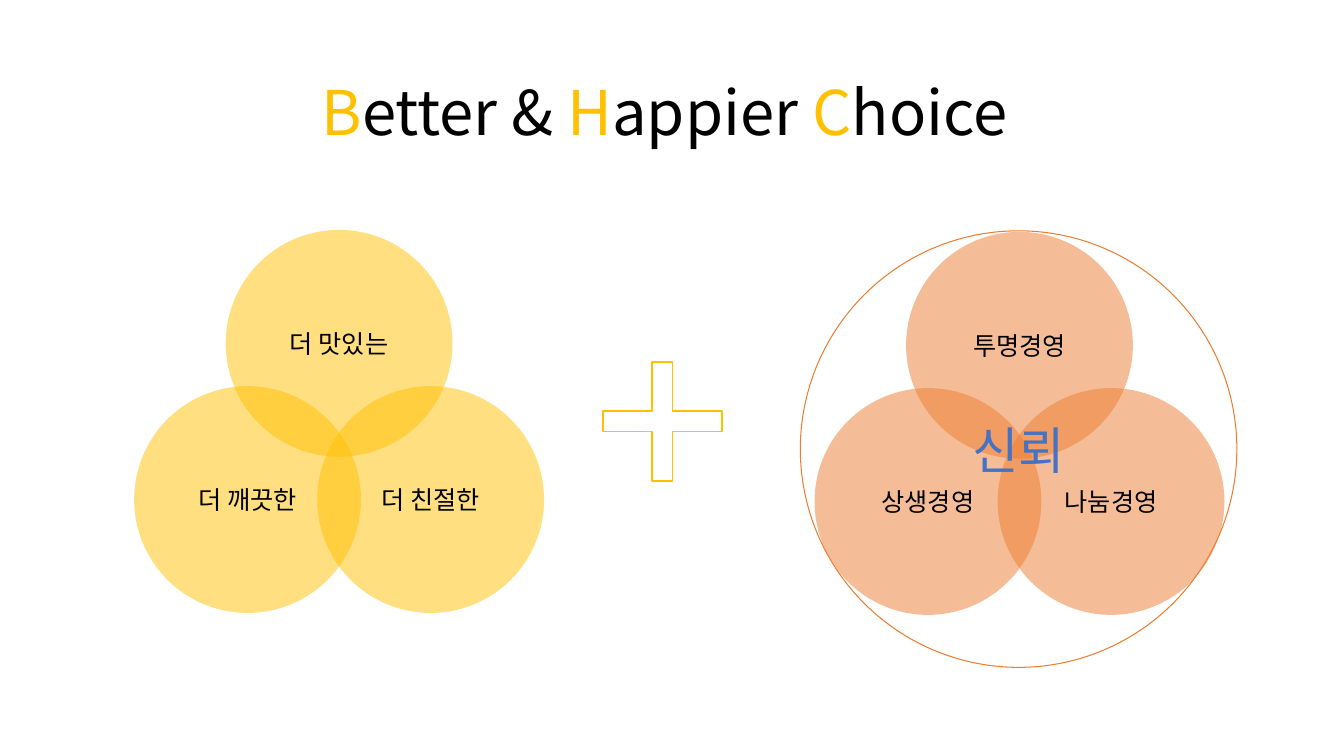
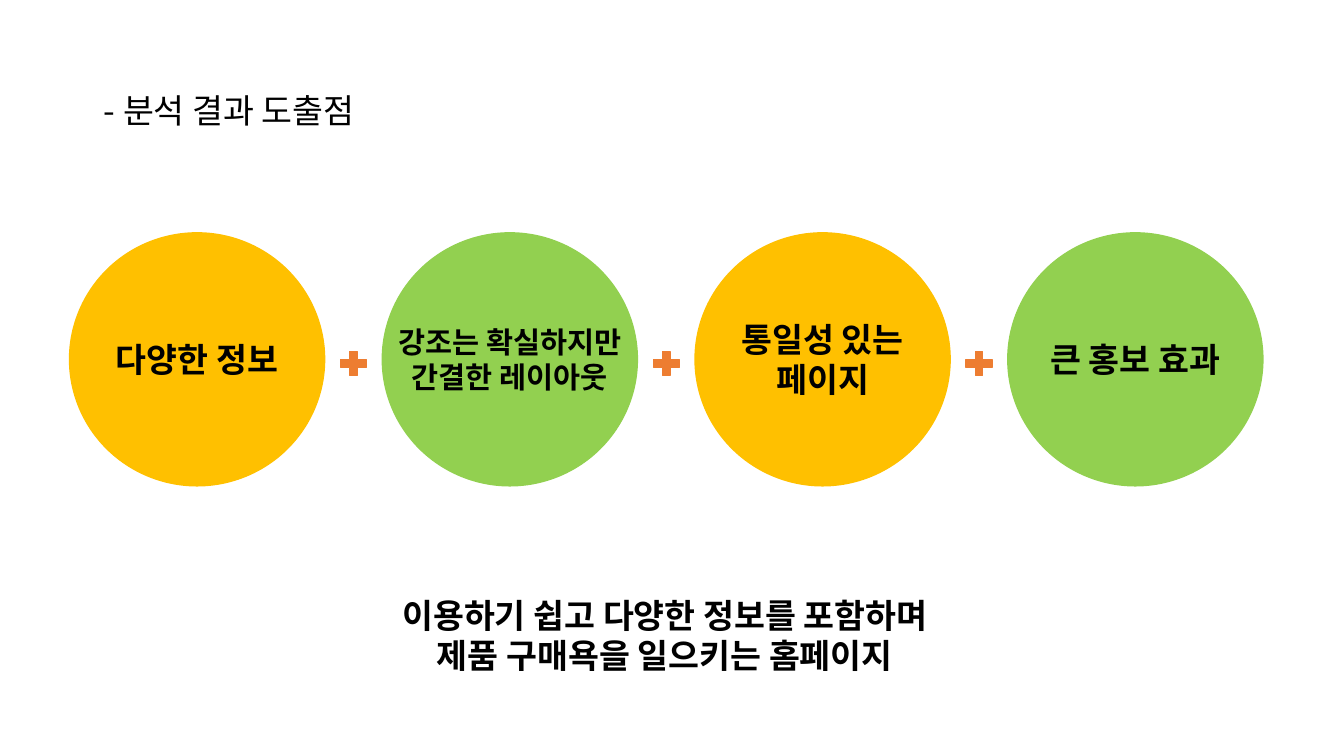
import pptx
import pptx.dml.color
import pptx.enum.shapes
import pptx.enum.text
import pptx.oxml.ns
import pptx.util
from lxml import etree

Pt = pptx.util.Pt
SHAPE = pptx.enum.shapes.MSO_SHAPE
ALIGN = pptx.enum.text.PP_ALIGN
ANCHOR = pptx.enum.text.MSO_ANCHOR
qn = pptx.oxml.ns.qn

FONT = "Noto Sans CJK KR"
COLORS = {
    "text": "000000",
    "yellow": "FFC000",
    "orange": "ED7D31",
    "green": "92D050",
    "blue": "4472C4",
}


def rgb(color):
    return pptx.dml.color.RGBColor.from_string(COLORS[color])


def style_paragraph(paragraph, size, color="text", bold=False, align=ALIGN.CENTER):
    paragraph.alignment = align
    font = paragraph.font
    font.size, font.bold, font.name = Pt(size), bold, FONT
    font.color.rgb = rgb(color)
    # Hangul takes its typeface from the East Asian slot
    defaults = paragraph._p.pPr.find(qn("a:defRPr"))
    etree.SubElement(defaults, qn("a:ea"), typeface=FONT)


def write_lines(frame, lines, size, color="text", bold=False):
    frame.text = "\n".join(lines)
    for paragraph in frame.paragraphs:
        style_paragraph(paragraph, size, color, bold)


def add_figure(slide, kind, box, fill=None, line=None, line_width=1, opacity=100):
    figure = slide.shapes.add_shape(kind, *map(Pt, box))
    figure.shadow.inherit = False
    if fill:
        figure.fill.solid()
        figure.fill.fore_color.rgb = rgb(fill)
        if opacity < 100:
            tint = figure._element.spPr.find(".//" + qn("a:srgbClr"))
            etree.SubElement(tint, qn("a:alpha"), val=str(opacity * 1000))
    else:
        figure.fill.background()
    if line:
        figure.line.color.rgb = rgb(line)
        figure.line.width = Pt(line_width)
    else:
        figure.line.fill.background()
    figure.text_frame.word_wrap = False
    figure.text_frame.vertical_anchor = ANCHOR.MIDDLE
    return figure


def add_title(slide, box, parts, size, anchor, spacing):
    """Fill the title with (text, colour) parts."""
    title = slide.shapes.title
    title.left, title.top, title.width, title.height = map(Pt, box)
    frame = title.text_frame
    frame.auto_size = pptx.enum.text.MSO_AUTO_SIZE.NONE
    frame.vertical_anchor = anchor
    heading = frame.paragraphs[0]
    heading.line_spacing = spacing
    style_paragraph(heading, size, align=ALIGN.LEFT)
    for text, color in parts:
        run = heading.add_run()
        run.text = text
        if color != "text":
            run.font.color.rgb = rgb(color)


def add_venn(slide, left, top, color, labels):
    """Three overlapping circles: one above, two below."""
    diameter, step, drop = 162, 65.4, 111.6
    offsets = [(step, 0), (0, drop), (2 * step, drop)]
    for (dx, dy), label in zip(offsets, labels):
        circle = add_figure(slide, SHAPE.OVAL,
                            (left + dx, top + dy, diameter, diameter),
                            fill=color, opacity=50)
        write_lines(circle.text_frame, [label], 18)


def add_circle_sum(slide, left, top, pitch, circles):
    """A row of filled circles with a plus sign in each gap."""
    width, height = 182.2, 180.7
    plus_width, plus_height = 25.2, 23
    for index, (lines, size, color) in enumerate(circles):
        x = left + index * pitch
        circle = add_figure(slide, SHAPE.OVAL, (x, top, width, height), color, color)
        write_lines(circle.text_frame, lines, size, bold=True)
        if index:
            plus_left = x - (pitch - width + plus_width) / 2
            plus_top = top + (height - plus_height) / 2 + 3
            add_figure(slide, SHAPE.MATH_PLUS,
                       (plus_left, plus_top, plus_width, plus_height),
                       "orange", "orange")


def add_conclusion(slide, box, lines):
    conclusion = slide.shapes.add_textbox(*map(Pt, box))
    conclusion.text_frame.word_wrap = True
    write_lines(conclusion.text_frame, lines, 24, bold=True)


def build_slogan(slide):
    add_title(slide, (222.5, 30.2, 515.5, 104.4),
              [("B", "yellow"), ("etter & ", "text"), ("H", "yellow"),
               ("appier ", "text"), ("C", "yellow"), ("hoice", "text")],
              44, ANCHOR.MIDDLE, 0.9)
    add_venn(slide, 581.8, 165.6, "orange", ["투명경영", "상생경영", "나눔경영"])
    trust = add_figure(slide, SHAPE.OVAL, (571.7, 164.9, 311.8, 311.8),
                       line="orange", line_width=0.75)
    write_lines(trust.text_frame, ["신뢰"], 36, "blue")
    add_venn(slide, 95.8, 164.2, "yellow", ["더 맛있는", "더 깨끗한", "더 친절한"])
    plus = add_figure(slide, SHAPE.CROSS, (430.6, 258.5, 85, 85), line="yellow")
    plus.adjustments[0] = 0.414


def build_findings(slide):
    add_title(slide, (67, 60.5, 329, 36), [("- 분석 결과 도출점", "text")],
              24, ANCHOR.TOP, 1.0)
    add_circle_sum(slide, 49.7, 166.3, 223.4, [
        (["다양한 정보"], 24, "yellow"),
        (["강조는 확실하지만", "간결한 레이아웃"], 21, "green"),
        (["통일성 있는", "페이지"], 24, "yellow"),
        (["큰 홍보 효과"], 24, "green"),
    ])
    add_conclusion(slide, (186.5, 421.2, 576.7, 65.5),
                   ["이용하기 쉽고 다양한 정보를 포함하며", "제품 구매욕을 일으키는 홈페이지"])


def main():
    deck = pptx.Presentation()
    deck.slide_width, deck.slide_height = Pt(960), Pt(540)
    title_only = deck.slide_layouts[5]
    for build in (build_slogan, build_findings):
        build(deck.slides.add_slide(title_only))
    deck.save("out.pptx")


if __name__ == "__main__":
    main()
